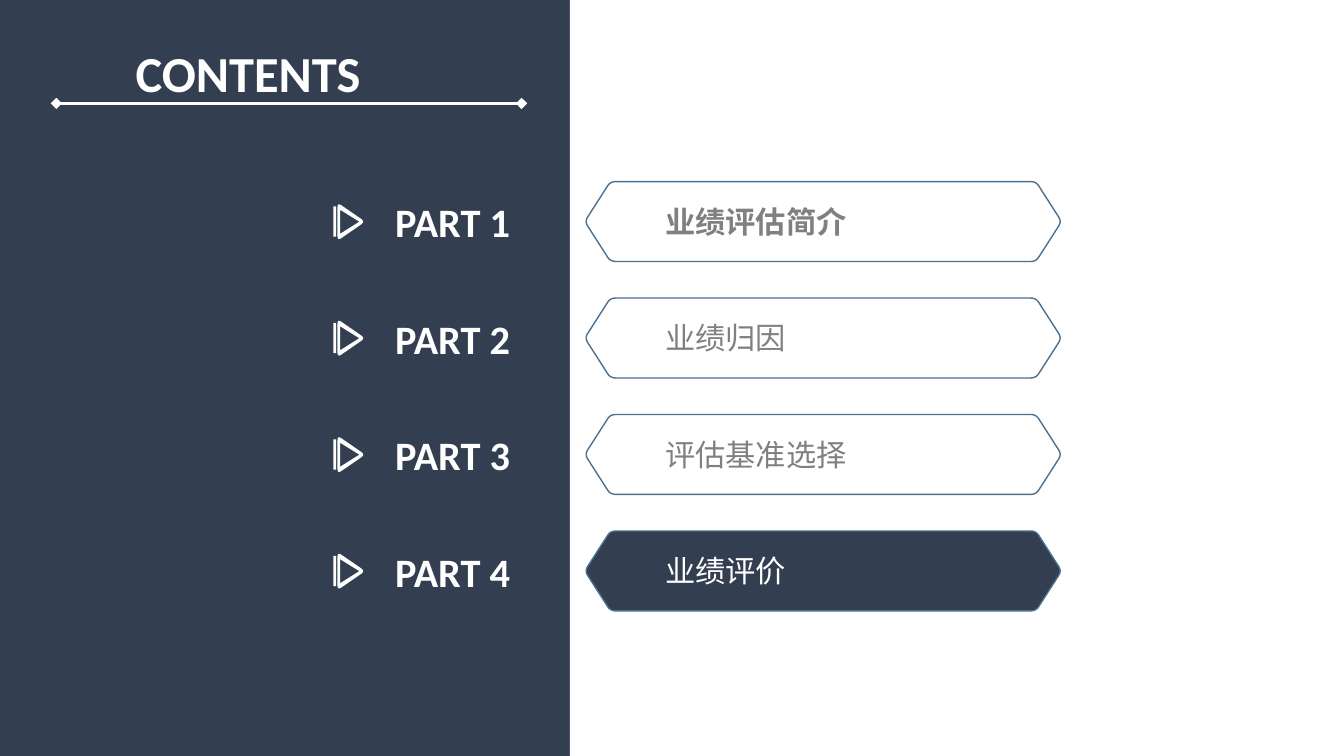
from math import dist

from lxml import etree
from pptx import Presentation
from pptx import util as u
from pptx.dml.color import RGBColor
from pptx.enum import shapes, text
from pptx.oxml import ns

Pt = u.Pt
COLORS = {"navy": "333F50", "white": "FFFFFF", "outline": "4A7090", "gray": "808080"}
LATIN, CHINESE = "Calibri", "Noto Sans CJK SC"
PARTS = [
    ("PART 1", "业绩评估简介", True, False),
    ("PART 2", "业绩归因", False, False),
    ("PART 3", "评估基准选择", False, False),
    ("PART 4", "业绩评价", False, True),
]
ROW_TOP, ROW_PITCH, ROW_HEIGHT = 97.3, 62.4, 42.8


def color(name):
    """Return the named colour."""
    return RGBColor.from_string(COLORS[name])


def paint(shape, fill=None, line=None):
    """Set fill and outline, and drop the shadow."""
    shape.shadow.inherit = False
    if fill:
        shape.fill.solid()
        shape.fill.fore_color.rgb = color(fill)
    else:
        shape.fill.background()
    if line:
        shape.line.color.rgb = color(line)
        shape.line.width = Pt(0.75)
    else:
        shape.line.fill.background()


def add_text(page, box, words, size, font, ink, bold=False):
    """Add one line of text in a box given as left, top, width, height."""
    frame = page.shapes.add_textbox(*map(Pt, box)).text_frame
    frame.word_wrap = True
    frame.auto_size = text.MSO_AUTO_SIZE.SHAPE_TO_FIT_TEXT
    span = frame.paragraphs[0].add_run()
    span.text = words
    span.font.size = Pt(size)
    span.font.name = font
    span.font.bold = bold
    span.font.color.rgb = color(ink)
    east = etree.SubElement(span.font._element, ns.qn("a:ea"))
    east.set("typeface", font)


def round_corners(points, radius, steps=6):
    """Replace each corner with points along a quadratic curve."""
    curve = []
    for index, corner in enumerate(points):
        ends = []
        for other in (points[index - 1], points[(index + 1) % len(points)]):
            share = radius / dist(corner, other)
            ends.append([c + (o - c) * share for c, o in zip(corner, other)])
        for step in range(steps + 1):
            t = step / steps
            curve.append(tuple(
                (1 - t) ** 2 * a + 2 * t * (1 - t) * c + t ** 2 * b
                for a, c, b in zip(ends[0], corner, ends[1])
            ))
    return curve


def add_outline(page, left, top, contours):
    """Draw closed contours relative to a corner as one freeform."""
    placed = [[(Pt(left + x), Pt(top + y)) for x, y in points] for points in contours]
    builder = page.shapes.build_freeform(*placed[0][0])
    for index, points in enumerate(placed):
        if index:
            builder.move_to(*points[0])
        builder.add_line_segments(points[1:], close=True)
    return builder.convert_to_shape()


def add_play_icon(page, left, top):
    """Draw a bar and a hollow triangle."""
    bar = [(0, 0.4), (1.4, 0.4), (1.4, 16.6), (0, 16.6)]
    outer = round_corners([(2.2, -1.6), (17, 8.6), (2.2, 18.8)], 2.5)
    inner = [(3.6, 2.2), (3.6, 15.1), (13.9, 8.6)]
    paint(add_outline(page, left, top, [outer, inner, bar]), "white")


def add_banner(page, box, active):
    """Draw a rounded hexagon that fills the box."""
    left, top, width, height = box
    slant, tip, middle = 13, 0.7, height / 2
    corners = [(-tip, middle), (slant, 0), (width - slant, 0),
               (width + tip, middle), (width - slant, height), (slant, height)]
    shape = add_outline(page, left, top, [round_corners(corners, 2.8)])
    paint(shape, "navy" if active else None, "outline")


def add_part(page, box, part):
    """Place one contents row: icon, part number, banner and topic."""
    left, top, width, height = box
    number, topic, bold, active = part
    add_play_icon(page, left, top + 12.9)
    add_text(page, (left + 26, top + 5, 109, 33), number, 21.6, LATIN, "white", True)
    add_banner(page, (left + 135.4, top, width - 135.4, height), active)
    add_text(page, (left + 170.6, top + 7.9, 200, 26.6), topic, 16.2, CHINESE,
             "white" if active else "gray", bold)


def add_heading(page, box):
    """Place the title over a rule with diamond ends."""
    left, top, width, height = box
    add_text(page, (left + 35.3, top, 265, height), "CONTENTS", 27, LATIN, "white", True)
    y = Pt(top + 36.5)
    rule = page.shapes.add_connector(
        shapes.MSO_CONNECTOR.STRAIGHT, Pt(left), y, Pt(left + width), y)
    rule.line.color.rgb = color("white")
    rule.line.width = Pt(2)
    line = rule.line._get_or_add_ln()
    for end in ("a:headEnd", "a:tailEnd"):
        etree.SubElement(line, ns.qn(end)).set("type", "diamond")
    etree.SubElement(rule._element.spPr, ns.qn("a:effectLst"))


def build_contents(page, box):
    """Place the background, the heading and all rows."""
    left, top, width, height = box
    page.background.fill.solid()
    page.background.fill.fore_color.rgb = color("navy")
    split = 305.3
    panel = page.shapes.add_shape(
        shapes.MSO_SHAPE.RECTANGLE, Pt(left + split), Pt(top), Pt(width - split), Pt(height))
    paint(panel, "white")
    add_heading(page, (left + 30.2, top + 18.9, 249.2, 40.3))
    for index, part in enumerate(PARTS):
        row_top = top + ROW_TOP + index * ROW_PITCH
        add_part(page, (left + 178.6, row_top, 389.4, ROW_HEIGHT), part)


def main():
    """Build and save the deck."""
    deck = Presentation()
    deck.slide_width, deck.slide_height = Pt(720), Pt(405)
    page = deck.slides.add_slide(deck.slide_layouts[6])
    build_contents(page, (0, 0, 720, 405))
    deck.save("out.pptx")


if __name__ == "__main__":
    main()
